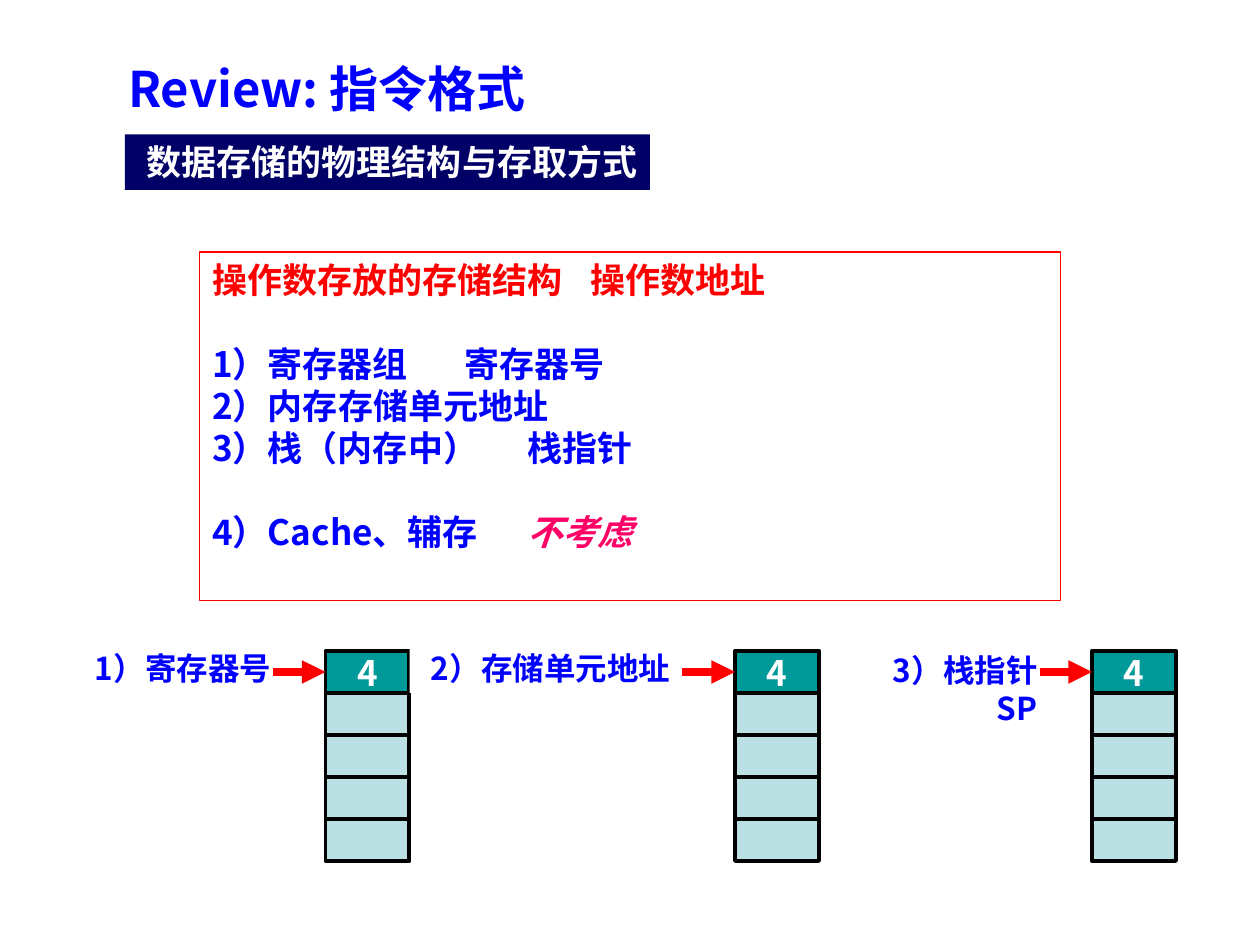
from lxml import etree
from pptx import Presentation
from pptx.dml.color import RGBColor
from pptx.enum.shapes import MSO_CONNECTOR, MSO_SHAPE
from pptx.enum.text import MSO_ANCHOR, MSO_AUTO_SIZE, PP_ALIGN
from pptx.oxml.ns import qn
from pptx.util import Inches, Pt

RECT = MSO_SHAPE.RECTANGLE
STRAIGHT = MSO_CONNECTOR.STRAIGHT
LEFT, CENTER, RIGHT = PP_ALIGN.LEFT, PP_ALIGN.CENTER, PP_ALIGN.RIGHT
TOP, MIDDLE = MSO_ANCHOR.TOP, MSO_ANCHOR.MIDDLE

FONT = "Noto Sans CJK SC"
BLUE = RGBColor(0x00, 0x00, 0xFF)
RED = RGBColor(0xFF, 0x00, 0x00)
PINK = RGBColor(0xFF, 0x00, 0x66)
NAVY = RGBColor(0x00, 0x00, 0x66)
TEAL = RGBColor(0x00, 0x99, 0x99)
PALE = RGBColor(0xBB, 0xE0, 0xE3)
WHITE = RGBColor(0xFF, 0xFF, 0xFF)
BLACK = RGBColor(0x00, 0x00, 0x00)

prs = Presentation()
prs.slide_width, prs.slide_height = Inches(10), Inches(7.5)
COL, ROW = prs.slide_width / 120, prs.slide_height / 90
s = prs.slides.add_slide(prs.slide_layouts[1])


def write(p, text, size=20, color=BLUE, align=LEFT, italic=False):
    p.alignment = align
    p.line_spacing = Pt(size * 1.2)
    r = p.add_run()
    r.text = text
    f = r.font
    f.name, f.size, f.bold, f.italic = FONT, Pt(size), True, italic
    f.color.rgb = color
    etree.SubElement(r._r.get_or_add_rPr(), qn("a:ea"), typeface=FONT)


def place(sp, x, y, w, h, fill=None, line=None, width=0.75, anchor=TOP):
    sp.left, sp.top = int(x * COL), int(y * ROW)
    sp.width, sp.height = int(w * COL), int(h * ROW)
    if fill is None:
        sp.fill.background()
    else:
        sp.fill.solid()
        sp.fill.fore_color.rgb = fill
    if line is None:
        sp.line.fill.background()
    else:
        sp.line.color.rgb = line
        sp.line.width = Pt(width)
    sp.shadow.inherit = False
    tf = sp.text_frame
    tf.word_wrap, tf.auto_size = True, MSO_AUTO_SIZE.NONE
    tf.vertical_anchor = anchor
    return tf


tf = place(s.shapes.title, 11, 5, 69, 6.8)
write(tf.paragraphs[0], "Review: 指令格式", size=28)

tf = place(s.shapes.add_shape(RECT, 0, 0, 0, 0), 11.9, 12.8, 50, 5.3, fill=NAVY)
write(tf.paragraphs[0], "数据存储的物理结构与存取方式", color=WHITE, align=RIGHT)

tf = place(s.placeholders[1], 19, 24, 82, 33.2, line=RED)
storage_rows = [
    ("操作数存放的存储结构", "操作数地址", RED, RED, 48, 0),
    ("1）寄存器组", "寄存器号", BLUE, BLUE, 45.2, 24),
    ("2）内存", "存储单元地址", BLUE, BLUE, 48, 0),
    ("3）栈（内存中）", "栈指针", BLUE, BLUE, 48, 0),
    ("4）Cache、辅存", "不考虑", BLUE, PINK, 48, 24),
]
for i, (storage, address, color, address_color, tab, before) in enumerate(storage_rows):
    p = tf.paragraphs[0] if i == 0 else tf.add_paragraph()
    pPr = p._p.get_or_add_pPr()
    pPr.set("marL", "0")
    pPr.set("indent", "0")
    etree.SubElement(pPr, qn("a:buNone"))
    tabs = etree.SubElement(pPr, qn("a:tabLst"))
    etree.SubElement(tabs, qn("a:tab"), pos=str(int(tab * COL)), algn="l")
    p.space_before = Pt(before)
    write(p, storage + "\t", color=color)
    write(p, address, color=address_color, italic=address_color == PINK)

stacks = [
    (6, 61.2, 21, ["1）寄存器号"], 31),
    (39, 61.2, 26, ["2）存储单元地址"], 70),
    (78.8, 61.4, 21.2, ["3）栈指针", "SP"], 104),
]
for x, y, w, lines, cell_x in stacks:
    tf = place(s.shapes.add_shape(RECT, 0, 0, 0, 0), x, y, w, 4.8, fill=WHITE)
    for i, text in enumerate(lines):
        p = tf.paragraphs[0] if i == 0 else tf.add_paragraph()
        write(p, text, size=18, align=RIGHT)

    cells = [s.shapes.add_shape(RECT, 0, 0, 0, 0) for _ in range(5)]
    for i, cell in enumerate(cells):
        tf = place(cell, cell_x, 62 + 4 * i, 8, 4, fill=PALE if i else TEAL,
                   line=BLACK, width=2.25, anchor=MIDDLE)
        if i == 0:
            write(tf.paragraphs[0], "4", color=WHITE, align=CENTER)

    y = int(64 * ROW)
    arrow = s.shapes.add_connector(STRAIGHT, int((cell_x - 5) * COL), y, int(cell_x * COL), y)
    arrow.end_connect(cells[0], 1)
    arrow.line.color.rgb = RED
    arrow.line.width = Pt(4.5)
    etree.SubElement(arrow.line._get_or_add_ln(), qn("a:tailEnd"), type="triangle")
    etree.SubElement(arrow._element.spPr, qn("a:effectLst"))

prs.save("out.pptx")
